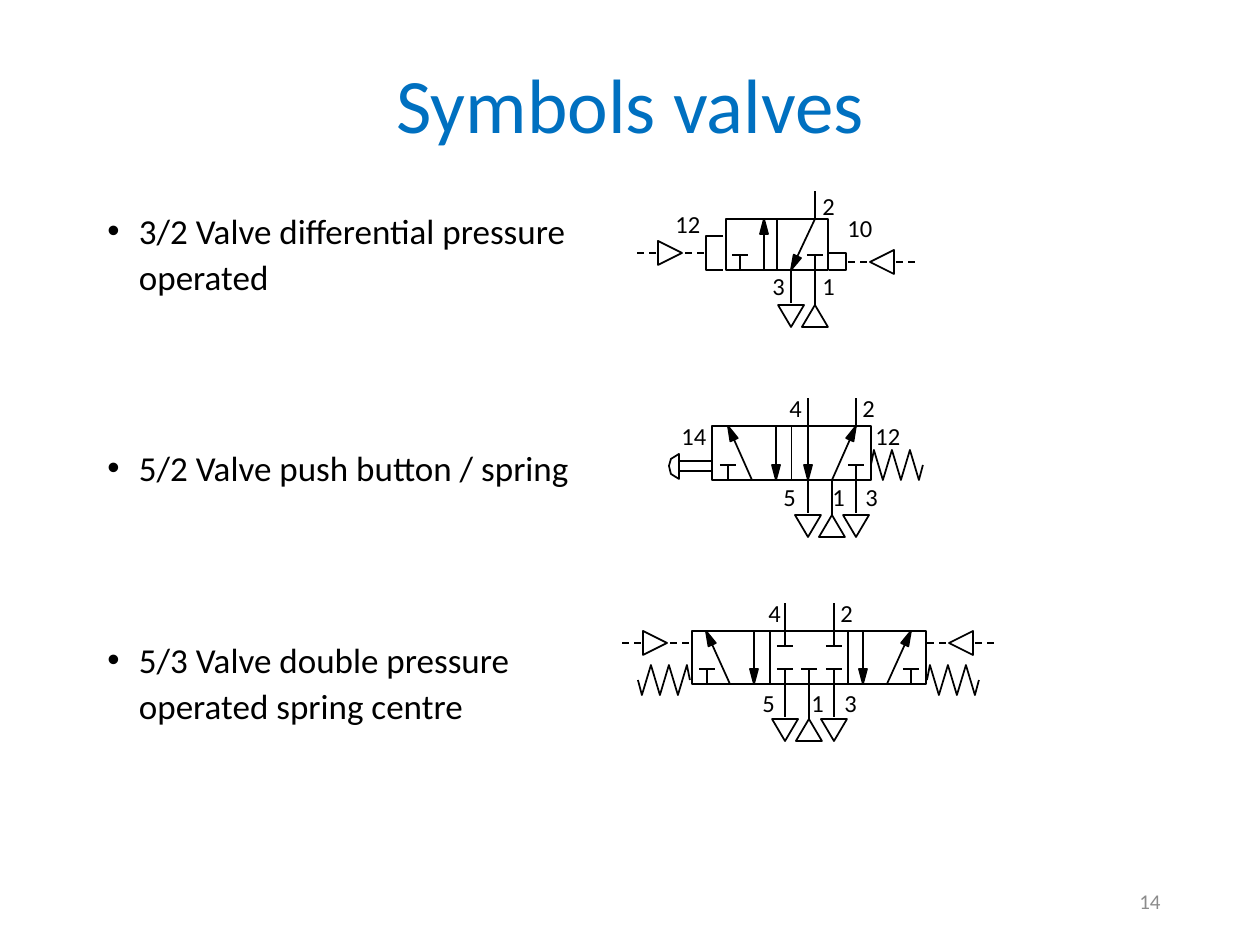
from math import hypot
from lxml import etree
from pptx import Presentation
from pptx.dml.color import RGBColor
from pptx.enum.dml import MSO_LINE
from pptx.enum.shapes import MSO_CONNECTOR, MSO_SHAPE
from pptx.enum.text import MSO_ANCHOR, PP_ALIGN
from pptx.oxml.ns import qn
from pptx.util import Emu, Pt

DASH = MSO_LINE.DASH
STRAIGHT = MSO_CONNECTOR.STRAIGHT
RECT, TRIANGLE = MSO_SHAPE.RECTANGLE, MSO_SHAPE.ISOSCELES_TRIANGLE
TOP, MIDDLE = MSO_ANCHOR.TOP, MSO_ANCHOR.MIDDLE
LEFT, CENTER, RIGHT = PP_ALIGN.LEFT, PP_ALIGN.CENTER, PP_ALIGN.RIGHT
FONT, BLACK, BLUE, GREY = "Calibri", "000000", "0070C0", "8C8C8C"

TITLE = "Symbols valves"
BULLETS = ["3/2 Valve differential pressure operated",
           "5/2 Valve push button / spring",
           "5/3 Valve double pressure operated spring centre"]
PAGE = "14"

# body: left, top, right, bottom; tees: x, side of the body; arrows end at the tip
# vents and feeds: x of the exhaust and supply ports below the body
# springs and pilots: x at the valve, y, direction away from the valve
VALVES = [
    dict(body=(726, 219, 828, 270), cells=2,
         tees=[(740, "bottom"), (815, "bottom")],
         arrows=[(764, 270, 764, 219), (815, 219, 791, 270)],
         outlets=[815], vents=[791], feeds=[815], springs=[],
         pilots=[(704, 253, -1), (848, 262, 1)],
         outlines=[[(723, 236), (706, 236), (706, 270), (723, 270)],
                   [(829, 253), (846, 253), (846, 270), (829, 270)]],
         stems=[],
         labels=[("1", 810, 265), ("2", 810, 185), ("3", 760, 265),
                 ("12", 663, 203), ("10", 835, 207)]),
    dict(body=(712, 426, 871, 480), cells=2,
         tees=[(728, "bottom"), (856, "bottom")],
         arrows=[(776, 426, 776, 480), (808, 426, 808, 480),
                 (752, 480, 728, 426), (832, 480, 856, 426)],
         outlets=[808, 856], vents=[808, 856], feeds=[832],
         springs=[(871, 465, 1)], pilots=[],
         outlines=[[(679, 479), (671, 474), (669, 466), (671, 459),
                    (679, 454), (679, 479)]],
         stems=[(679, 461, 712, 461), (679, 471, 712, 471)],
         labels=[("1", 820, 476), ("2", 850, 387), ("4", 777, 387),
                 ("5", 771, 476), ("3", 853, 476),
                 ("14", 669, 415), ("12", 863, 415)]),
    dict(body=(692, 631, 926, 684), cells=3,
         tees=[(707, "bottom"), (785, "bottom"), (809, "bottom"),
               (834, "bottom"), (911, "bottom"), (785, "top"), (834, "top")],
         arrows=[(754, 631, 754, 684), (863, 631, 863, 684),
                 (730, 684, 706, 631), (887, 684, 911, 631)],
         outlets=[785, 834], vents=[785, 834], feeds=[809],
         springs=[(690, 680, -1), (927, 680, 1)],
         pilots=[(689, 643, -1), (927, 643, 1)],
         outlines=[], stems=[],
         labels=[("1", 799, 682), ("2", 828, 592), ("4", 756, 592),
                 ("5", 750, 682), ("3", 832, 682)]),
]


def px(n):
    return Emu(round(n * 914400 / 126))


def rgb(code):
    return RGBColor.from_string(code)


def ink(shape, fill=None):
    """Give a shape a thin black outline and a fill, if any."""
    shape.shadow.inherit = False
    shape.line.color.rgb = rgb(BLACK)
    shape.line.width = Pt(1)
    if fill:
        shape.fill.solid()
        shape.fill.fore_color.rgb = rgb(fill)
    else:
        shape.fill.background()
    return shape


def line(art, x1, y1, x2, y2, dash=False):
    link = art.add_connector(STRAIGHT, px(x1), px(y1), px(x2), px(y2))
    link.line.color.rgb = rgb(BLACK)
    link.line.width = Pt(1)
    if dash:
        link.line.dash_style = DASH
    etree.SubElement(link._element.spPr, qn("a:effectLst"))
    return link


def poly(art, pts, fill=None):
    pts = [(px(x), px(y)) for x, y in pts]
    pen = art.build_freeform(*pts[0], scale=1.0)
    pen.add_line_segments(pts[1:], close=bool(fill))
    return ink(pen.convert_to_shape(), fill)


def arrow(art, x1, y1, x2, y2):
    line(art, x1, y1, x2, y2)
    size = hypot(x2 - x1, y2 - y1)
    ux, uy = (x2 - x1) / size, (y2 - y1) / size
    bx, by = x2 - 15 * ux, y2 - 15 * uy
    poly(art, [(x2, y2), (bx - 4 * uy, by + 4 * ux),
               (bx + 4 * uy, by - 4 * ux)], BLACK)


def wedge(art, x, y, w, h, turn):
    """Draw a triangle centred on x, y."""
    tri = art.add_shape(TRIANGLE, px(x - w / 2), px(y - h / 2), px(w), px(h))
    tri.rotation = turn
    ink(tri)


def pilot(art, x, y, way):
    for near, far in [(0, 22), (48, 70)]:
        line(art, x + way * near, y, x + way * far, y, dash=True)
    wedge(art, x + way * 34, y, 24, 24, -90 * way % 360)


def spring(art, x, y, way):
    zig = [(3 + 9 * i, 15 if i % 2 else -15) for i in range(6)]
    pts = [(0, 0)] + zig + [(52, 0)]
    poly(art, [(x + way * dx, y + dy) for dx, dy in pts])


def write(art, box, texts, size, color=BLACK, align=LEFT, anchor=TOP, wrap=True):
    frame = art.add_textbox(*[px(n) for n in box]).text_frame
    frame.word_wrap = wrap
    frame.vertical_anchor = anchor
    for i, text in enumerate(texts):
        para = frame.paragraphs[0] if i == 0 else frame.add_paragraph()
        para.text = text
        para.alignment = align
        para.font.name, para.font.size = FONT, Pt(size)
        para.font.color.rgb = rgb(color)
    return frame.paragraphs


def bullet(para):
    ppr = para._p.get_or_add_pPr()
    ppr.set("marL", str(Pt(18)))
    ppr.set("indent", str(-Pt(18)))
    face = etree.Element(qn("a:buFont"), typeface="Arial")
    mark = etree.Element(qn("a:buChar"), char="•")
    spot = ppr.find(qn("a:defRPr"))
    spot.addprevious(face)
    spot.addprevious(mark)


def valve(art, spec):
    left, top, right, bottom = spec["body"]
    body = ink(art.add_shape(RECT, px(left), px(top),
                             px(right - left), px(bottom - top)))
    cells = spec["cells"]
    for i in range(1, cells):
        x = left + (right - left) * i / cells
        wall = line(art, x, top, x, bottom)
        if cells == 2:
            wall.begin_connect(body, 0)
            wall.end_connect(body, 2)
    for x, side in spec["tees"]:
        edge, bar = (top, top + 15) if side == "top" else (bottom, bottom - 15)
        line(art, x, edge, x, bar)
        line(art, x - 8, bar, x + 8, bar)
    for ends in spec["arrows"]:
        arrow(art, *ends)
    for x in spec["outlets"]:
        line(art, x, top, x, top - 28)
    for key, turn, drop in [("vents", 180, 33), ("feeds", 0, 35)]:
        for x in spec[key]:
            port = line(art, x, bottom, x, bottom + drop)
            if 2 * x == left + right:
                port.begin_connect(body, 2)
            wedge(art, x, bottom + 46, 26, 22, turn)
    for kind, draw in [("springs", spring), ("pilots", pilot), ("stems", line)]:
        for item in spec[kind]:
            draw(art, *item)
    for pts in spec["outlines"]:
        poly(art, pts)
    for text, x, y in spec["labels"]:
        write(art, (x, y, 26 + 13 * len(text), 42), [text], 14, wrap=False)


def main():
    deck = Presentation()
    deck.slide_width, deck.slide_height = px(1260), px(945)
    art = deck.slides.add_slide(deck.slide_layouts[6]).shapes
    head = write(art, (160, 58, 941, 102), [TITLE], 44, BLUE, CENTER, MIDDLE)
    head[0].line_spacing = 0.9
    for i, para in enumerate(write(art, (95, 199, 525, 620), BULLETS, 20)):
        para.line_spacing = 1.1
        if i:
            para.space_before = Pt(83)
        bullet(para)
    for spec in VALVES:
        valve(art.add_group_shape().shapes, spec)
    write(art, (890, 876, 283, 50), [PAGE], 12, GREY, RIGHT, MIDDLE)


    deck.save("out.pptx")


if __name__ == "__main__":
    main()
